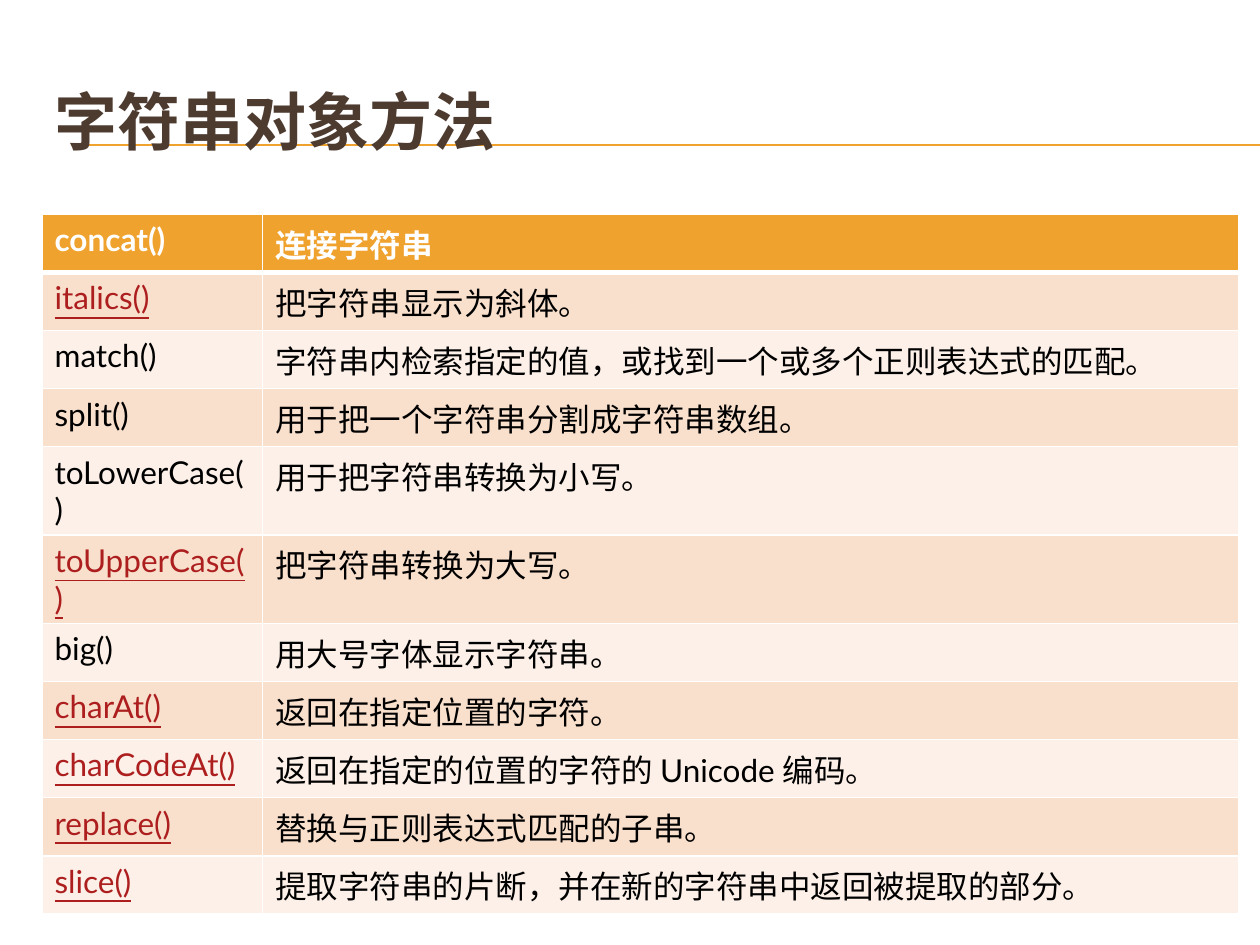
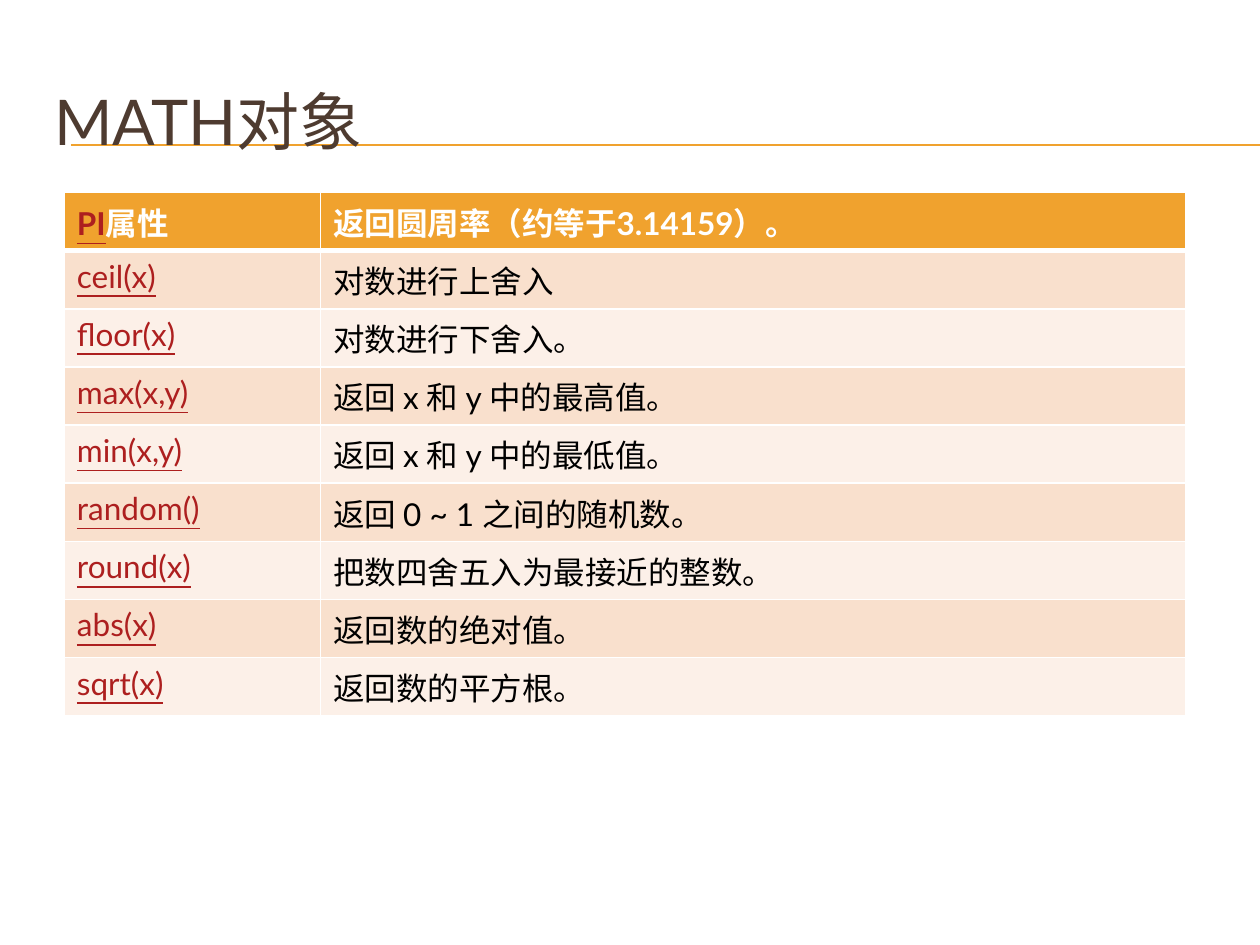
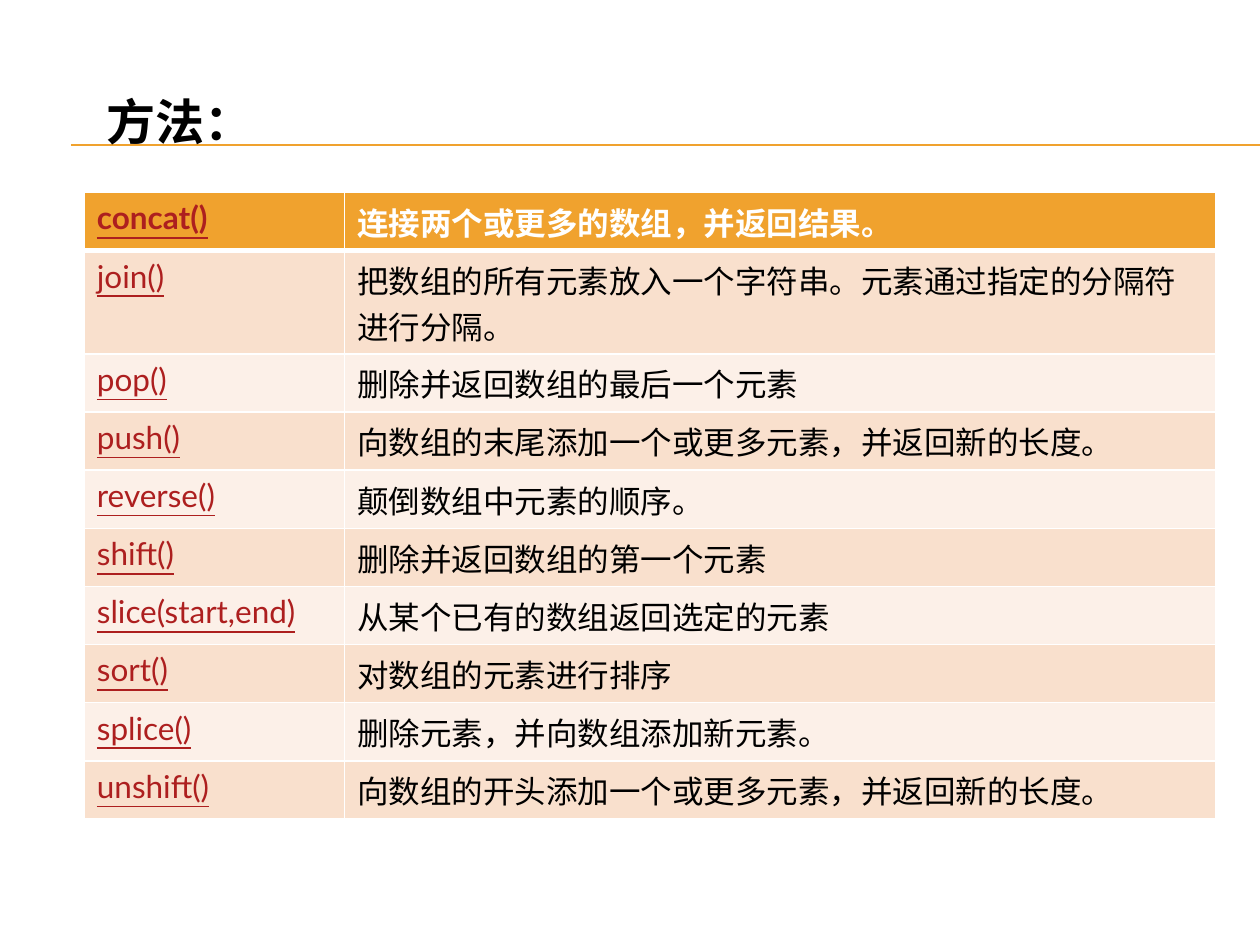
from dataclasses import dataclass

import pptx
import pptx.dml.color
import pptx.enum.shapes
import pptx.enum.text
import pptx.oxml.ns
import pptx.util
from lxml import etree

Pt = pptx.util.Pt

COLORS = {
    "accent": "F0A22E",
    "title": "4E3B30",
    "link": "AD1F1F",
    "text": "000000",
    "light": "FFFFFF",
    "odd_row": "F9E0CD",
    "even_row": "FCF0E8",
}
FONT = "Lato"
ROW_HEIGHT = 33.25
TWO_LINE_HEIGHT = 59
RULE_LEFT, RULE_RIGHT = 40.5, 720
RULE_TOPS = (82.9, 83.2)


@dataclass(frozen=True)
class Heading:
    text: str
    left: float = 24
    top: float = 36
    width: float = 684
    height: float = 66
    size: float = 36
    color: str = "title"
    bold: bool = False
    centered: bool = True


@dataclass(frozen=True)
class Method:
    name: str
    description: str
    linked: bool = True
    suffix: str = ""
    height: float = ROW_HEIGHT


@dataclass(frozen=True)
class Reference:
    heading: Heading
    left: float
    top: float
    column_widths: tuple[float, float]
    methods: tuple[Method, ...]


REFERENCES = (
    Reference(
        Heading("字符串对象方法", bold=True),
        24, 122.4, (126, 558),
        (
            Method("concat()", "连接字符串", linked=False),
            Method("italics()", "把字符串显示为斜体。"),
            Method("match()", "字符串内检索指定的值，或找到一个或多个正则表达式的匹配。", linked=False),
            Method("split()", "用于把一个字符串分割成字符串数组。", linked=False),
            Method("toLowerCase()", "用于把字符串转换为小写。", linked=False),
            Method("toUpperCase()", "把字符串转换为大写。"),
            Method("big()", "用大号字体显示字符串。", linked=False),
            Method("charAt()", "返回在指定位置的字符。"),
            Method("charCodeAt()", "返回在指定的位置的字符的 Unicode 编码。"),
            Method("replace()", "替换与正则表达式匹配的子串。"),
            Method("slice()", "提取字符串的片断，并在新的字符串中返回被提取的部分。"),
        ),
    ),
    Reference(
        Heading("MATH对象"),
        36.8, 110, (146.4, 494.4),
        (
            Method("PI", "返回圆周率（约等于3.14159）。", suffix="属性"),
            Method("ceil(x)", "对数进行上舍入"),
            Method("floor(x)", "对数进行下舍入。"),
            Method("max(x,y)", "返回 x 和 y 中的最高值。"),
            Method("min(x,y)", "返回 x 和 y 中的最低值。"),
            Method("random()", "返回 0 ~ 1 之间的随机数。"),
            Method("round(x)", "把数四舍五入为最接近的整数。"),
            Method("abs(x)", "返回数的绝对值。"),
            Method("sqrt(x)", "返回数的平方根。"),
        ),
    ),
    Reference(
        Heading("方法：", 54, 49, 612, 63.4, 28, "text", bold=True, centered=False),
        48.2, 110, (148.8, 497.6),
        (
            Method("concat()", "连接两个或更多的数组，并返回结果。"),
            Method(
                "join()",
                "把数组的所有元素放入一个字符串。元素通过指定的分隔符进行分隔。",
                height=TWO_LINE_HEIGHT,
            ),
            Method("pop()", "删除并返回数组的最后一个元素"),
            Method("push()", "向数组的末尾添加一个或更多元素，并返回新的长度。"),
            Method("reverse()", "颠倒数组中元素的顺序。"),
            Method("shift()", "删除并返回数组的第一个元素"),
            Method("slice(start,end)", "从某个已有的数组返回选定的元素"),
            Method("sort()", "对数组的元素进行排序"),
            Method("splice()", "删除元素，并向数组添加新元素。"),
            Method("unshift()", "向数组的开头添加一个或更多元素，并返回新的长度。"),
        ),
    ),
)


def rgb(color: str) -> pptx.dml.color.RGBColor:
    return pptx.dml.color.RGBColor.from_string(COLORS[color])


def format_run(run, size: float, color: str, bold: bool, underline: bool = False) -> None:
    run.font.name = FONT
    run.font.size = Pt(size)
    run.font.color.rgb = rgb(color)
    run.font.bold = bold
    run.font.underline = underline


def draw_rules(slide) -> None:
    for top in RULE_TOPS:
        rule = slide.shapes.add_connector(
            pptx.enum.shapes.MSO_CONNECTOR.STRAIGHT,
            Pt(RULE_LEFT), Pt(top), Pt(RULE_RIGHT), Pt(top),
        )
        rule.line.color.rgb = rgb("accent")
        rule.line.width = Pt(0.75)
        etree.SubElement(rule._element.spPr, pptx.oxml.ns.qn("a:effectLst"))


def draw_heading(slide, heading: Heading) -> None:
    box = slide.shapes.add_textbox(
        Pt(heading.left), Pt(heading.top), Pt(heading.width), Pt(heading.height)
    )
    frame = box.text_frame
    frame.word_wrap = True
    anchors = pptx.enum.text.MSO_ANCHOR
    frame.vertical_anchor = anchors.MIDDLE if heading.centered else anchors.TOP
    frame.text = heading.text
    format_run(frame.paragraphs[0].runs[0], heading.size, heading.color, heading.bold)


def set_borders(cell, top: float, bottom: float) -> None:
    properties = cell._tc.get_or_add_tcPr()
    for side, width in (("L", 1), ("R", 1), ("T", top), ("B", bottom)):
        border = etree.SubElement(
            properties, pptx.oxml.ns.qn(f"a:ln{side}"), w=str(Pt(width))
        )
        fill = etree.SubElement(border, pptx.oxml.ns.qn("a:solidFill"))
        etree.SubElement(fill, pptx.oxml.ns.qn("a:srgbClr"), val=COLORS["light"])


def fill_row(cells, index: int, method: Method) -> None:
    header = index == 0
    background = "accent" if header else "odd_row" if index % 2 else "even_row"
    plain = "light" if header else "text"
    for cell, text in zip(cells, (method.name, method.description)):
        set_borders(cell, 3 if index == 1 else 1, 3 if header else 1)
        cell.fill.solid()
        cell.fill.fore_color.rgb = rgb(background)
        cell.text_frame.text = text
    name, description = (cell.text_frame.paragraphs[0] for cell in cells)
    format_run(name.runs[0], 18, "link" if method.linked else plain, header, method.linked)
    format_run(description.runs[0], 18, plain, header)
    if method.suffix:
        suffix = name.add_run()
        suffix.text = method.suffix
        format_run(suffix, 18, plain, header)


def draw_methods(slide, reference: Reference) -> None:
    table = slide.shapes.add_table(
        len(reference.methods), 2, Pt(reference.left), Pt(reference.top),
        Pt(sum(reference.column_widths)),
        Pt(sum(method.height for method in reference.methods)),
    ).table
    table.horz_banding = False
    for column, width in zip(table.columns, reference.column_widths):
        column.width = Pt(width)
    for index, (row, method) in enumerate(zip(table.rows, reference.methods)):
        row.height = Pt(method.height)
        fill_row(tuple(row.cells), index, method)


def main() -> None:
    presentation = pptx.Presentation()
    presentation.slide_width = Pt(720)
    presentation.slide_height = Pt(540)
    for reference in REFERENCES:
        slide = presentation.slides.add_slide(presentation.slide_layouts[6])
        draw_rules(slide)
        draw_heading(slide, reference.heading)
        draw_methods(slide, reference)
    presentation.save("out.pptx")


if __name__ == "__main__":
    main()
